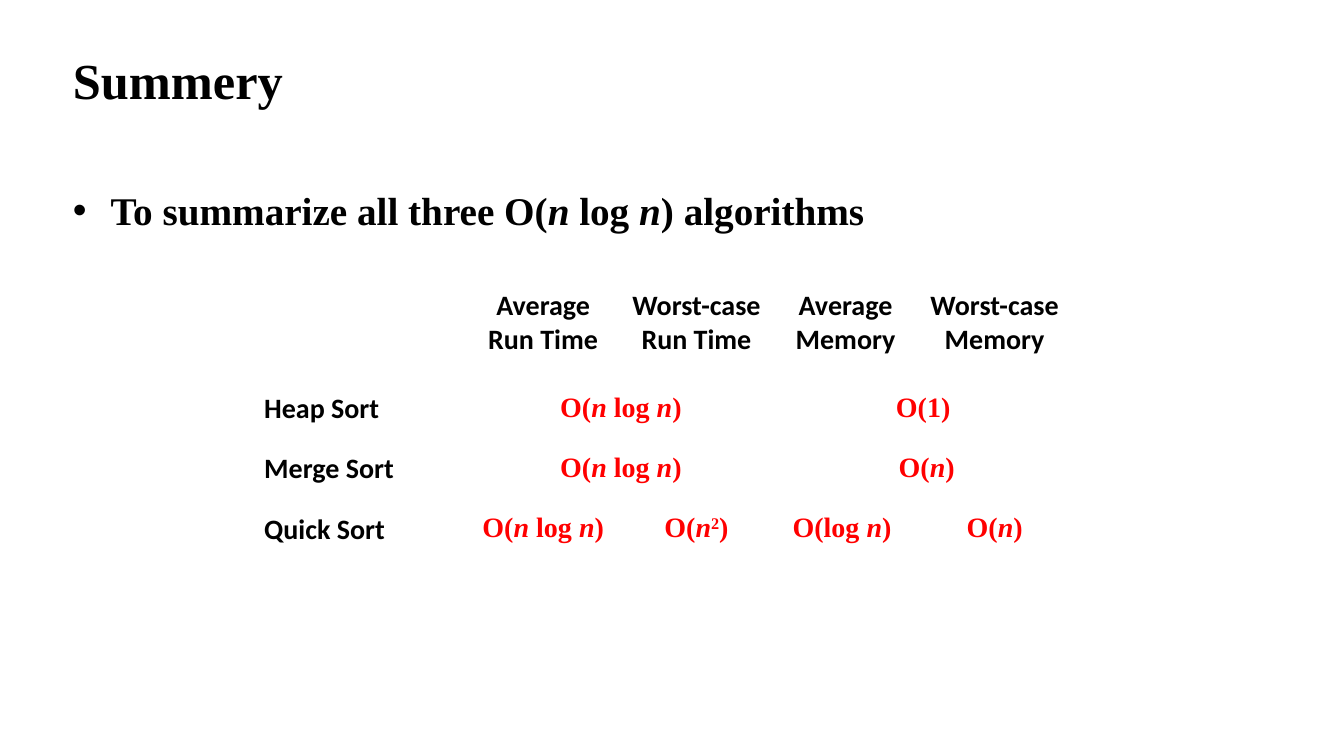
from pptx import Presentation
from pptx.dml.color import RGBColor
from pptx.enum.text import MSO_ANCHOR as Anchor, PP_ALIGN as Align
from pptx.oxml import parse_xml
from pptx.oxml.ns import nsdecls
from pptx.util import Pt

COLORS = {"text": "000000", "formula": "FF0000", "border": "FFFFFF"}
SERIF, SANS = "Times New Roman", "Calibri"


def write(para, text, size, face, color, align=Align.LEFT):
    """Pieces are parted by |; n is italic, ^ marks a superscript."""
    para.alignment = align
    for piece in text.split("|"):
        span = para.add_run()
        span.text = piece.lstrip("^")
        font_format = {"size": Pt(size), "name": face, "bold": True, "italic": piece == "n"}
        for name, value in font_format.items():
            setattr(span.font, name, value)
        span.font.color.rgb = RGBColor.from_string(COLORS[color])
        if piece.startswith("^"):
            span.font._element.set("baseline", "30000")


def add_box(page, left, top, width, height, anchor):
    frame = page.shapes.add_textbox(Pt(left), Pt(top), Pt(width), Pt(height)).text_frame
    frame.word_wrap = True
    frame.vertical_anchor = anchor
    return frame.paragraphs[0]


deck = Presentation()
deck.slide_width, deck.slide_height = Pt(960), Pt(540)
page = deck.slides.add_slide(deck.slide_layouts[6])

# Title
title = add_box(page, 45, 29.5, 882, 54, Anchor.MIDDLE)
write(title, "Summery", 36, SERIF, "text")

# Bullet line
bullet = add_box(page, 45, 113, 869, 397, Anchor.TOP)
write(bullet, "To summarize all three O(|n| log |n|) algorithms", 28, SERIF, "text", Align.JUSTIFY)
bullet.line_spacing = 1.5
properties = bullet._p.get_or_add_pPr()
properties.set("marL", str(Pt(27)))
properties.set("indent", str(-Pt(27)))
for xml in ('<a:buFont %s typeface="Arial"/>', '<a:buChar %s char="•"/>'):
    properties.append(parse_xml(xml % nsdecls("a")))

# Table: None continues the merged cell on its left
N_LOG_N = "O(|n| log |n|) "
ROWS = [
    ["", "Average\nRun Time", "Worst-case\nRun Time", "Average\nMemory", "Worst-case\nMemory"],
    ["Heap Sort", N_LOG_N, None, "O(1) ", None],
    ["Merge Sort", N_LOG_N, None, "O(|n|)", None],
    ["Quick Sort", N_LOG_N, "O(|n|^2|)", "O(log |n|) ", "O(|n|)"],
]
COLUMN_WIDTHS = [155, 103, 116, 97, 116]
ROW_HEIGHTS = [74, 43, 43, 43]
table = page.shapes.add_table(4, 5, Pt(181.5), Pt(202.5), Pt(sum(COLUMN_WIDTHS)),
                              Pt(sum(ROW_HEIGHTS))).table
table.first_row = table.horz_banding = False
for column, width in zip(table.columns, COLUMN_WIDTHS):
    column.width = Pt(width)
for row, height in zip(table.rows, ROW_HEIGHTS):
    row.height = Pt(height)

for r, texts in enumerate(ROWS):
    for c, text in enumerate(texts):
        cell = table.cell(r, c)
        cell.fill.background()

        # White borders, heavier under the header
        heavy_side = {0: "B", 1: "T"}.get(r)
        for position, side in enumerate("LRTB"):
            width = Pt(3 if side == heavy_side else 1)
            line = parse_xml(
                f'<a:ln{side} {nsdecls("a")} w="{width}"><a:solidFill>'
                f'<a:srgbClr val="{COLORS["border"]}"/></a:solidFill></a:ln{side}>')
            cell._tc.get_or_add_tcPr().insert(position, line)

        if text is None:
            table.cell(r, c - 1).merge(cell)
            continue
        if not text:
            continue
        is_formula = r > 0 and c > 0
        face, color = (SERIF, "formula") if is_formula else (SANS, "text")
        for i, words in enumerate(text.split("\n")):
            frame = cell.text_frame
            para = frame.add_paragraph() if i else frame.paragraphs[0]
            write(para, words, 20, face, color, Align.CENTER if c else Align.LEFT)

deck.save("out.pptx")
